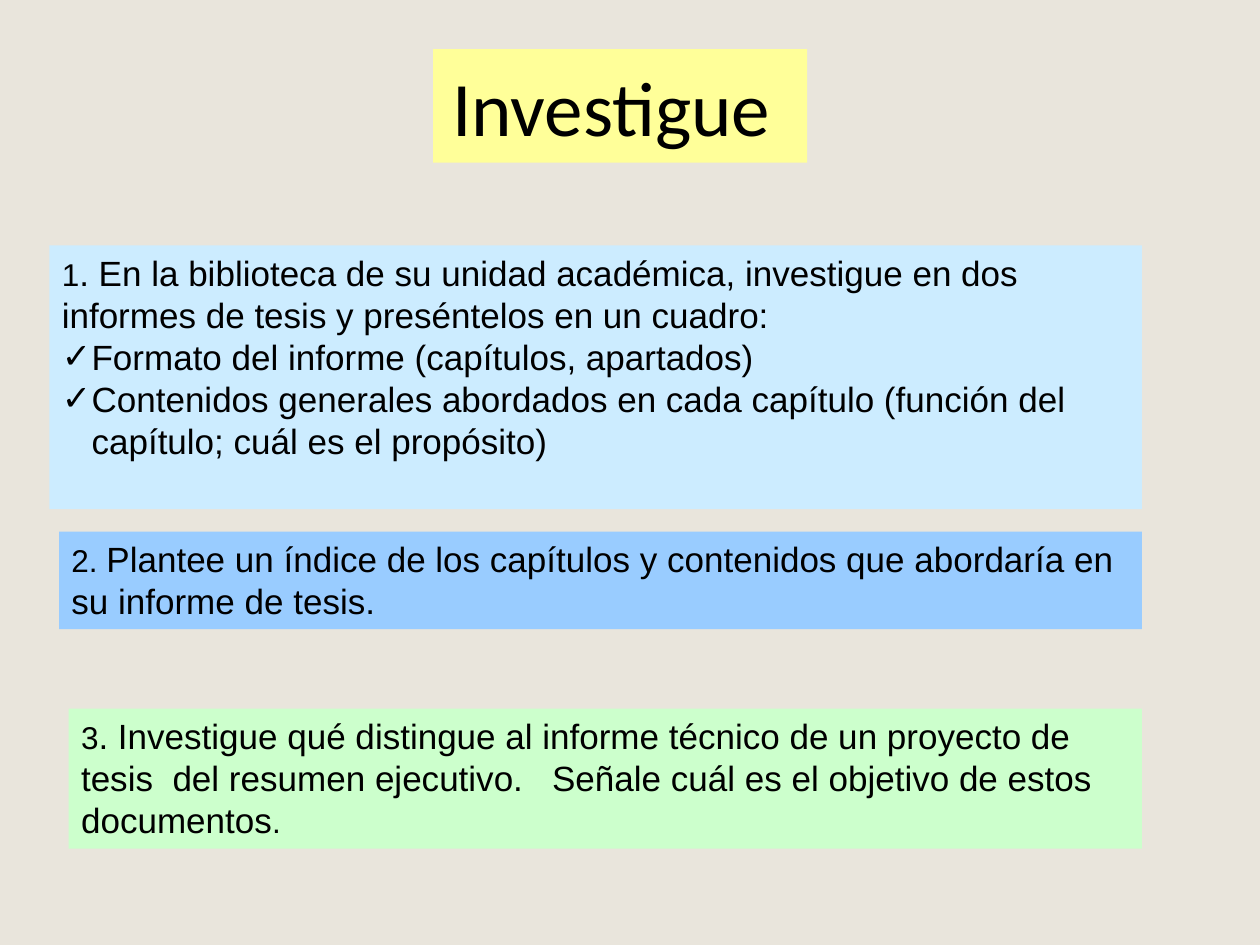
from lxml import etree
from pptx import Presentation
from pptx.dml.color import RGBColor
from pptx.enum.text import MSO_ANCHOR, MSO_AUTO_SIZE, PP_ALIGN
from pptx.oxml.ns import qn
from pptx.util import Pt

CENTER = PP_ALIGN.CENTER
MIDDLE = MSO_ANCHOR.MIDDLE
NO_AUTOFIT = MSO_AUTO_SIZE.NONE
GROW = MSO_AUTO_SIZE.SHAPE_TO_FIT_TEXT

BEIGE = RGBColor(0xE9, 0xE5, 0xDC)
YELLOW = RGBColor(0xFF, 0xFF, 0x99)
PALE_BLUE = RGBColor(0xCC, 0xEC, 0xFF)
BLUE = RGBColor(0x99, 0xCC, 0xFF)
GREEN = RGBColor(0xCC, 0xFF, 0xCC)
BLACK = RGBColor(0, 0, 0)

RIGHT_EDGE = 652.5
BULLET_INDENT = 17


def fill_shape(shape, color):
    shape.fill.solid()
    shape.fill.fore_color.rgb = color


def add_check_bullet(paragraph):
    properties = paragraph._p.get_or_add_pPr()
    properties.set("marL", str(Pt(BULLET_INDENT)))
    properties.set("indent", str(-Pt(BULLET_INDENT)))
    etree.SubElement(properties, qn("a:buFont")).set("typeface", "Arial")
    etree.SubElement(properties, qn("a:buChar")).set("char", "✓")


presentation = Presentation()
presentation.slide_width = Pt(720)
presentation.slide_height = Pt(540)
slide = presentation.slides.add_slide(presentation.slide_layouts[5])
slide.background.fill.solid()
slide.background.fill.fore_color.rgb = BEIGE

title = slide.shapes.title
title.left, title.top, title.width, title.height = Pt(247.5), Pt(28), Pt(213.75), Pt(65)
fill_shape(title, YELLOW)
title.text_frame.text = "Investigue "
title.text_frame.auto_size = NO_AUTOFIT
title.text_frame.vertical_anchor = MIDDLE
paragraph = title.text_frame.paragraphs[0]
paragraph.alignment = CENTER
paragraph.font.name = "Calibri"
paragraph.font.size = Pt(44)
paragraph.font.color.rgb = BLACK

tasks = [
    (28.25, 140.25, 150.75, PALE_BLUE,
     [("1", 18),
      (". En la biblioteca de su unidad académica, investigue en dos informes de tesis "
       "y preséntelos en un cuadro:", 20)],
     ["Formato del informe (capítulos, apartados)",
      "Contenidos generales abordados en cada capítulo (función del capítulo; "
      "cuál es el propósito)"]),
    (33.75, 303.75, 55.75, BLUE,
     [("2. ", 18),
      ("Plantee un índice de los capítulos y contenidos que abordaría en su informe "
       "de tesis.", 20)],
     []),
    (39.25, 405, 80, GREEN,
     [("3", 18),
      (". Investigue qué distingue al informe técnico de un proyecto de tesis  del resumen "
       "ejecutivo.   Señale cuál es el objetivo de estos documentos", 20),
      (".", 18)],
     []),
]

for left, top, height, color, runs, bullets in tasks:
    box = slide.shapes.add_textbox(Pt(left), Pt(top), Pt(RIGHT_EDGE - left), Pt(height))
    fill_shape(box, color)
    text_frame = box.text_frame
    text_frame.word_wrap = True
    text_frame.auto_size = NO_AUTOFIT if bullets else GROW
    for text, size in runs:
        run = text_frame.paragraphs[0].add_run()
        run.text = text
        run.font.size = Pt(size)
    for text in bullets:
        paragraph = text_frame.add_paragraph()
        paragraph.text = text
        paragraph.font.size = Pt(20)
        add_check_bullet(paragraph)
    for paragraph in text_frame.paragraphs:
        paragraph.font.name = "Arial"
        paragraph.font.color.rgb = BLACK

presentation.save("out.pptx")
